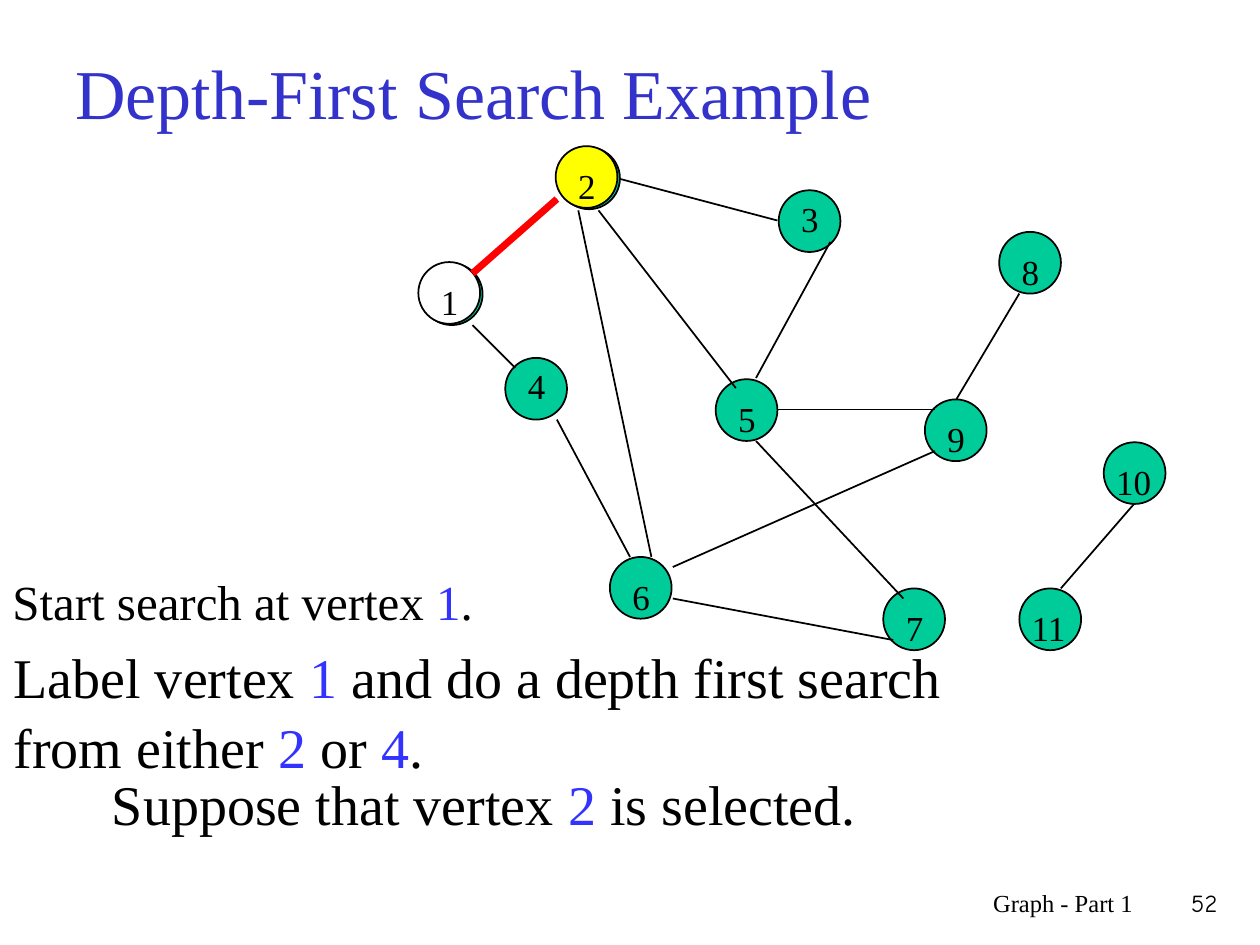
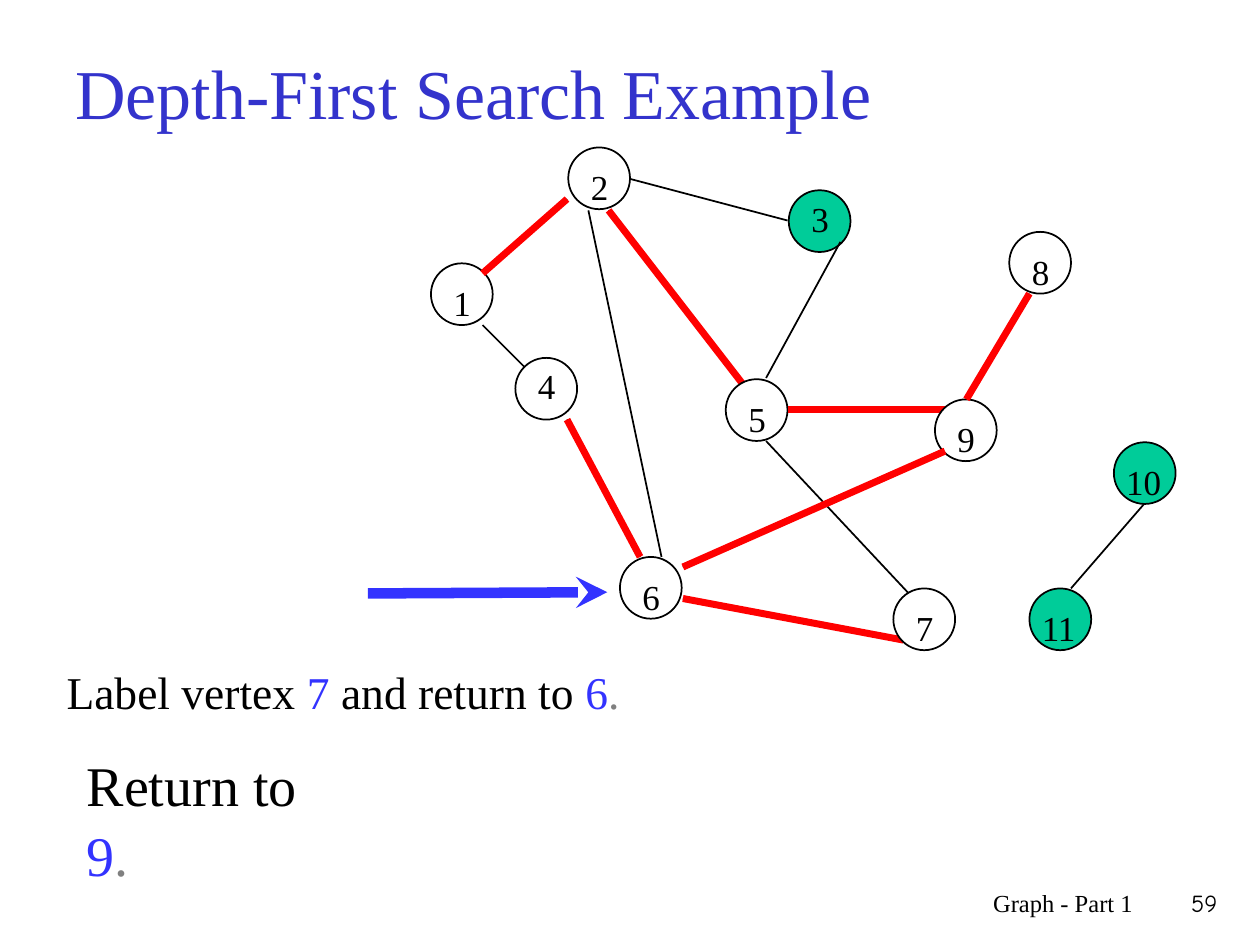
from dataclasses import dataclass

from lxml import etree
from pptx import Presentation
from pptx.dml.color import RGBColor
from pptx.enum import shapes, text
from pptx.oxml import ns
from pptx.util import Inches, Pt


@dataclass(frozen=True)
class Theme:
    """Colours, fonts and sizes shared by the slides."""
    ink: str = "000000"
    title: str = "3333CC"
    accent: str = "3333FF"
    muted: str = "808080"
    unvisited: str = "00CC99"
    visited: str = "FFFFFF"
    current: str = "FFFF00"
    tree: str = "FF0000"
    serif: str = "Times New Roman"
    number: str = "Comic Neue"
    title_size: int = 40
    note_size: int = 32
    start_size: int = 28
    return_size: int = 26
    label_size: int = 20
    footer_size: int = 14
    thin: int = 1
    thick: int = 4
    pointer: int = 6


THEME = Theme()
DISC = 0.49
VERTICES = {
    1: (0, 0.92), 2: (1.09, 0), 3: (2.84, 0.34), 8: (4.59, 0.67),
    10: (5.42, 2.34), 4: (0.67, 1.67), 5: (2.34, 1.84), 9: (4, 2),
    11: (4.75, 3.5), 6: (1.5, 3.25), 7: (3.67, 3.5),
}
RAISED_LABELS = (3, 4)
EDGES = {
    (1, 2): (1.08, 0.41, 0.41, 1),
    (2, 5): (1.41, 0.5, 2.5, 1.91),
    (1, 4): (0.41, 1.41, 0.75, 1.75),
    (4, 6): (1.08, 2.16, 1.66, 3.25),
    (6, 7): (2, 3.58, 3.75, 3.91),
    (3, 5): (3.25, 0.75, 2.66, 1.83),
    (5, 7): (2.66, 2.33, 3.83, 3.58),
    (8, 9): (4.75, 1.16, 4.25, 2),
    (10, 11): (5.08, 3.5, 5.66, 2.83),
    (5, 9): (2.83, 2.08, 4.08, 2.08),
    (2, 3): (1.58, 0.25, 2.83, 0.58),
    (2, 6): (1.25, 0.5, 1.83, 3.25),
    (6, 9): (2, 3.33, 4.08, 2.41),
}


def add_words(slide, box, words, size, font=THEME.serif, spacing=1.05,
              align=text.PP_ALIGN.LEFT, anchor=text.MSO_ANCHOR.TOP):
    """Write (wording, colour) pairs as one paragraph in a box."""
    frame = slide.shapes.add_textbox(*map(Inches, box)).text_frame
    frame.word_wrap = True
    frame.vertical_anchor = anchor
    paragraph = frame.paragraphs[0]
    paragraph.alignment = align
    paragraph.line_spacing = spacing
    for wording, colour in words:
        run = paragraph.add_run()
        run.text = wording
        run.font.name = font
        run.font.size = Pt(size)
        run.font.color.rgb = RGBColor.from_string(colour)


def add_line(slide, ends, colour, weight):
    """Draw a straight, shadowless line between two points."""
    line = slide.shapes.add_connector(
        shapes.MSO_CONNECTOR.STRAIGHT, *map(Inches, ends))
    line.line.color.rgb = RGBColor.from_string(colour)
    line.line.width = Pt(weight)
    etree.SubElement(line._element.spPr, ns.qn("a:effectLst"))
    return line


def add_arrow(slide, ends):
    """Draw the pointer to the vertex the search returns to."""
    arrow = add_line(slide, ends, THEME.accent, THEME.pointer)
    etree.SubElement(arrow.line._get_or_add_ln(), ns.qn("a:tailEnd"),
                     type="stealth")


def add_disc(slide, origin, vertex, fill):
    """Draw the circle of a vertex."""
    left, top = (o + v for o, v in zip(origin, VERTICES[vertex]))
    disc = slide.shapes.add_shape(
        shapes.MSO_SHAPE.OVAL, *map(Inches, (left, top, DISC, DISC)))
    disc.shadow.inherit = False
    disc.fill.solid()
    disc.fill.fore_color.rgb = RGBColor.from_string(fill)
    disc.line.color.rgb = RGBColor.from_string(THEME.ink)
    disc.line.width = Pt(THEME.thin)


def add_label(slide, origin, vertex):
    """Write the number of a vertex over its circle."""
    left, top = (o + v for o, v in zip(origin, VERTICES[vertex]))
    top += -0.01 if vertex in RAISED_LABELS else 0.08
    left, width = (left, 0.5) if vertex > 9 else (left + 0.08, 0.25)
    add_words(slide, (left, top, width, 0.43), [(str(vertex), THEME.ink)],
              THEME.label_size)


def add_edge(slide, origin, edge, colour, weight):
    """Draw an edge of the graph."""
    ends = [o + e for o, e in zip(origin * 2, EDGES[edge])]
    add_line(slide, ends, colour, weight)


def add_graph(slide, origin, vertices):
    """Draw the unvisited vertices and all edges."""
    for vertex in vertices:
        add_disc(slide, origin, vertex, THEME.unvisited)
    for edge in EDGES:
        add_edge(slide, origin, edge, THEME.ink, THEME.thin)
    for vertex in vertices:
        add_label(slide, origin, vertex)


def add_search(slide, origin, steps, current=None, shift=(0, 0)):
    """Mark visited vertices and tree edges in the order of the steps."""
    marked = tuple(o + s for o, s in zip(origin, shift))
    for step in steps:
        if step in EDGES:
            add_edge(slide, origin, step, THEME.tree, THEME.thick)
        else:
            fill = THEME.current if step == current else THEME.visited
            add_disc(slide, marked, step, fill)
            add_label(slide, marked, step)


def add_base(prs, number):
    """Add a slide with the shared title and footer."""
    slide = prs.slides.add_slide(prs.slide_layouts[6])
    add_words(slide, (0.5, 0.3, 9, 0.85),
              [("Depth-First Search Example", THEME.title)],
              THEME.title_size, spacing=1.0, anchor=text.MSO_ANCHOR.MIDDLE)
    footer = (((5.92, 7, 3.17, 0.5), "Graph - Part 1", THEME.serif),
              ((9.08, 7, 0.68, 0.5), number, THEME.number))
    for box, wording, font in footer:
        add_words(slide, box, [(wording, THEME.ink)], THEME.footer_size, font,
                  spacing=1.0, align=text.PP_ALIGN.RIGHT)
    return slide


def build_start(prs):
    """Show the start of the search at vertex 1."""
    slide = add_base(prs, "52")
    origin = (3.34, 1.17)
    add_words(slide, (0, 4.46, 5.08, 0.78),
              [("Start search at vertex ", THEME.ink), ("1", THEME.accent),
               (".", THEME.ink)], THEME.start_size)
    add_graph(slide, origin, VERTICES)
    add_words(slide, (0.01, 5.02, 7.75, 1.17),
              [("Label vertex ", THEME.ink), ("1", THEME.accent),
               (" and do a depth first search from either ", THEME.ink),
               ("2", THEME.accent), (" or ", THEME.ink), ("4", THEME.accent),
               (".", THEME.ink)], THEME.note_size)
    add_search(slide, origin, [1, 2, (1, 2)], current=2, shift=(-0.02, -0.01))
    add_words(slide, (0.79, 6.03, 7.75, 0.63),
              [("Suppose that vertex ", THEME.ink), ("2", THEME.accent),
               (" is selected.", THEME.ink)], THEME.note_size)


def build_return(prs):
    """Show the return from vertex 7 to vertex 6."""
    slide = add_base(prs, "59")
    origin = (3.42, 1.17)
    add_graph(slide, origin, (3, 10, 11))
    add_search(slide, origin, [1, (1, 2), 2, (2, 5), 5, (5, 9), 9, (8, 9), 8,
                               (6, 9), 6, (4, 6), 4, (6, 7), 7])
    add_words(slide, (0.43, 5.25, 8.67, 0.42),
              [("Label vertex ", THEME.ink), ("7 ", THEME.accent),
               ("and return to ", THEME.ink), ("6", THEME.accent),
               (".", THEME.muted)], THEME.return_size, spacing=0.95)
    add_arrow(slide, (2.92, 4.71, 4.82, 4.7))
    add_words(slide, (0.59, 5.88, 2.3, 0.63),
              [("Return to ", THEME.ink), ("9", THEME.accent),
               (".", THEME.muted)], THEME.note_size)


def main():
    """Build and save the presentation."""
    prs = Presentation()
    prs.slide_width, prs.slide_height = Inches(10), Inches(7.5)
    build_start(prs)
    build_return(prs)
    prs.save("out.pptx")


if __name__ == "__main__":
    main()
